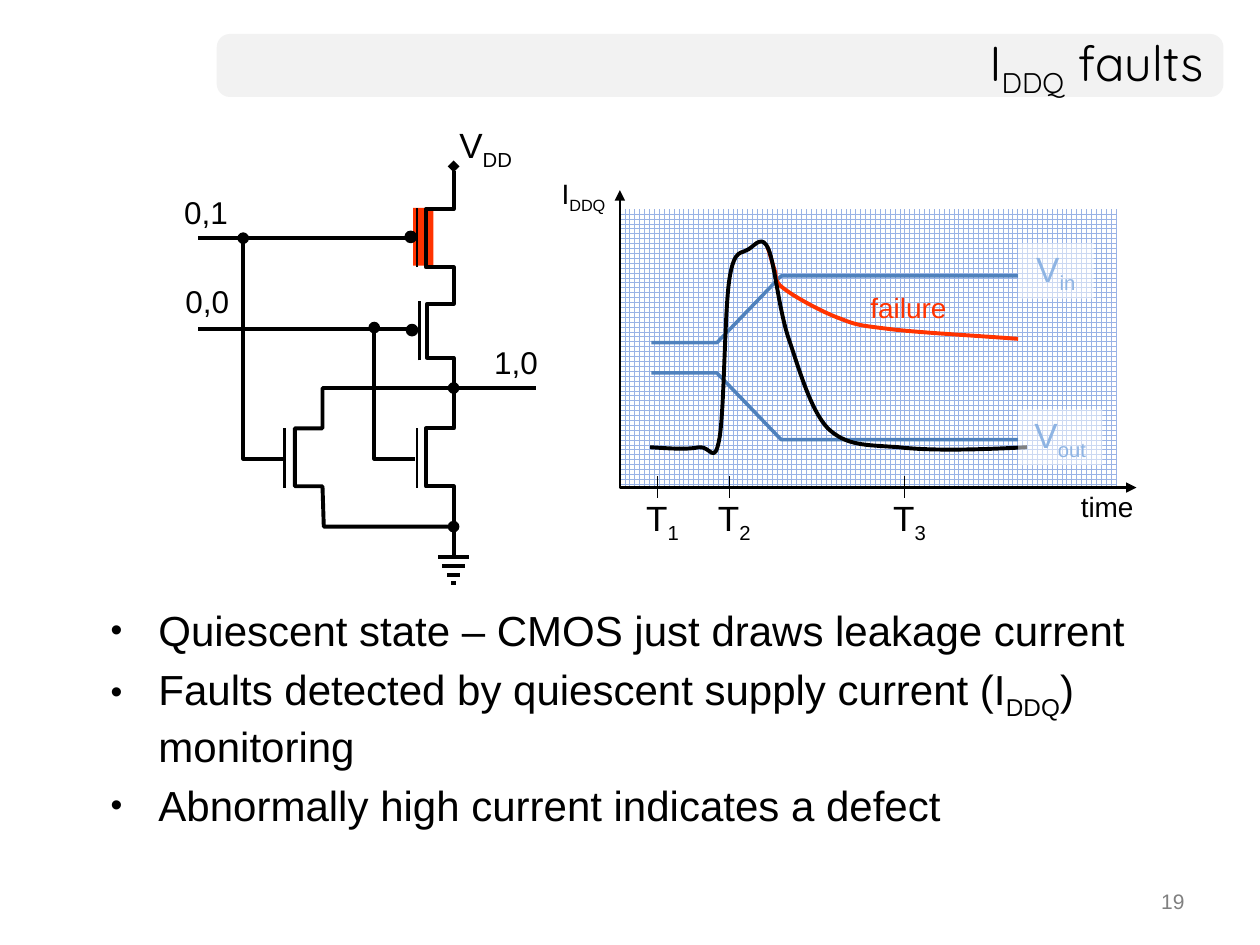
from lxml.etree import SubElement
from pptx import Presentation
from pptx.dml.color import RGBColor
from pptx.enum.dml import MSO_PATTERN
from pptx.enum.shapes import MSO_CONNECTOR, MSO_SHAPE as SHAPE
from pptx.enum.text import MSO_ANCHOR as ANCHOR, PP_ALIGN as ALIGN
from pptx.oxml.ns import qn
from pptx.util import Inches, Pt

COLORS = {"black": "000000", "white": "FFFFFF", "bar": "F2F2F2", "number": "808080",
          "signal": "4F81BD", "label": "8EB4E3", "fault": "FF3300", "grid": "99B3E6"}


def rgb(name):
    """Look up a named colour."""
    return RGBColor.from_string(COLORS[name])


def write(paragraph, text, size=18, color="black", font="Arial", align=None):
    """Fill a paragraph; pieces between underscores become subscripts."""
    paragraph.alignment = align
    for index, piece in enumerate(text.split("_")):
        if not piece:
            continue
        span = paragraph.add_run()
        span.text = piece
        span.font.size, span.font.name = Pt(size), font
        span.font.color.rgb = rgb(color)
        if index % 2:
            span._r.get_or_add_rPr().set("baseline", "-25000")


def add_text(page, at, text, wrap=True, anchor=ANCHOR.TOP, **style):
    """Add a one-paragraph text box."""
    frame = page.shapes.add_textbox(*map(Inches, at)).text_frame
    frame.word_wrap, frame.vertical_anchor = wrap, anchor
    write(frame.paragraphs[0], text, **style)


def add_bullets(page, at, items, indent=0.38):
    """Add a bulleted list with hanging indents."""
    frame = page.shapes.add_textbox(*map(Inches, at)).text_frame
    frame.word_wrap = True
    for index, item in enumerate(items):
        para = frame.add_paragraph() if index else frame.paragraphs[0]
        props = para._p.get_or_add_pPr()
        props.set("marL", str(Inches(indent)))
        props.set("indent", str(-Inches(indent)))
        SubElement(props, qn("a:buSzPct")).set("val", "80000")
        SubElement(props, qn("a:buFont")).set("typeface", "Arial")
        SubElement(props, qn("a:buChar")).set("char", "•")
        if index:
            para.space_before = Pt(4.8)
        write(para, item, size=24)


def add_box(page, kind, at, color, alpha=None, outline=None):
    """Add a filled preset shape, optionally translucent or outlined."""
    box = page.shapes.add_shape(kind, *map(Inches, at))
    box.shadow.inherit = False
    box.fill.solid()
    box.fill.fore_color.rgb = rgb(color)
    if alpha:
        tint = box.fill._xPr.find(qn("a:solidFill"))[0]
        SubElement(tint, qn("a:alpha")).set("val", str(alpha * 1000))
    if outline:
        box.line.color.rgb, box.line.width = rgb(color), Pt(outline)
    else:
        box.line.fill.background()
    return box


def add_signal_label(page, at, text):
    """Add a translucent signal name plate."""
    box = add_box(page, SHAPE.RECTANGLE, at, "white", alpha=50)
    box.text_frame.vertical_anchor = ANCHOR.MIDDLE
    write(box.text_frame.paragraphs[0], text, size=20, color="label", align=ALIGN.CENTER)


def add_line(page, x1, y1, x2, y2, width=2.25):
    """Add a straight black line."""
    line = page.shapes.add_connector(MSO_CONNECTOR.STRAIGHT, *map(Inches, (x1, y1, x2, y2)))
    line.line.color.rgb, line.line.width = rgb("black"), Pt(width)
    SubElement(line._element.spPr, qn("a:effectLst"))


def add_path(page, points, color="black", width=2.25, head=None, tail=None):
    """Add an open outline through the points."""
    scaled = [(Inches(x), Inches(y)) for x, y in points]
    builder = page.shapes.build_freeform(*scaled[0])
    builder.add_line_segments(scaled[1:], close=False)
    path = builder.convert_to_shape()
    path.shadow.inherit = False
    path.fill.background()
    path.line.color.rgb, path.line.width = rgb(color), Pt(width)
    for tag, end in (("a:headEnd", head), ("a:tailEnd", tail)):
        if end:
            SubElement(path.line._get_or_add_ln(), qn(tag)).set("type", end)
    return path


def add_curve(page, points, **style):
    """Add a smooth outline; after the start, points go control, control, end."""
    curve = add_path(page, points, **style)
    steps = list(curve._element.iter(qn("a:lnTo")))
    outline = steps[0].getparent()
    for first in range(0, len(steps), 3):
        cubic = SubElement(outline, qn("a:cubicBezTo"))
        for step in steps[first:first + 3]:
            cubic.append(step[0])
            outline.remove(step)


def draw_circuit(page):
    """Draw the NOR gate with its faulty transistor."""
    add_box(page, SHAPE.RECTANGLE, (3.28, 1.65, 0.16, 0.46), "fault")
    add_path(page, [(3.6, 1.32), (3.6, 1.66), (3.38, 1.66), (3.38, 2.12), (3.6, 2.12),
                    (3.6, 2.41), (3.39, 2.41), (3.39, 2.84), (3.6, 2.84), (3.6, 3.4),
                    (3.38, 3.4), (3.38, 3.86), (3.6, 3.86), (3.6, 4.41)], head="diamond")
    add_path(page, [(3.6, 3.08), (2.56, 3.08), (2.56, 3.4), (2.34, 3.4), (2.34, 3.86),
                    (2.56, 3.86), (2.57, 4.18), (3.6, 4.18)], head="oval", tail="oval")
    for x, top, end in ((1.93, 1.89, 2.25), (2.97, 2.6, 3.29)):
        add_path(page, [(x, top), (x, 3.64), (end, 3.64)], head="oval")
    for x, top in ((3.31, 1.65), (3.33, 2.39), (3.31, 3.4), (2.26, 3.4)):
        add_line(page, x, top + 0.47, x, top, width=1.5)
    for x, y in ((3.22, 1.84), (3.23, 2.58)):
        add_box(page, SHAPE.FLOWCHART_CONNECTOR, (x, y, 0.08, 0.08), "black", outline=1.5)
    for y in (1.89, 2.61):
        add_line(page, 3.25, y, 1.57, y)
    add_line(page, 3.62, 3.08, 4.25, 3.08)
    for row, half in enumerate((0.12, 0.09, 0.05, 0.02)):
        y = 4.42 + 0.07 * row
        add_line(page, 3.6 - half, y, 3.6 + half, y)
    add_text(page, (3.46, 0.95, 0.79, 0.44), "V_DD_", size=20, anchor=ANCHOR.MIDDLE,
             align=ALIGN.CENTER)
    for at, text in (((1.24, 1.48, 0.79, 0.4), "0,1"), ((1.27, 2.19, 0.75, 0.4), "0,0"),
                     ((3.8, 2.67, 0.59, 0.4), "1,0")):
        add_text(page, at, text, align=ALIGN.CENTER)


def draw_waveforms(page):
    """Draw the supply current over time with both signals."""
    grid = add_box(page, SHAPE.RECTANGLE, (4.92, 1.66, 3.94, 2.2), "white")
    grid.fill.patterned()
    grid.fill.pattern = MSO_PATTERN.LARGE_GRID
    grid.fill.fore_color.rgb, grid.fill.back_color.rgb = rgb("grid"), rgb("white")
    for before, after in ((2.96, 3.49), (2.72, 2.19)):
        add_path(page, [(5.17, before), (5.69, before), (6.2, after), (8.08, after)],
                 color="signal", width=2)
    add_curve(page, [
        (6.09, 1.96), (6.1, 1.98), (6.12, 2.06), (6.14, 2.12), (6.17, 2.17), (6.13, 2.23),
        (6.22, 2.29), (6.31, 2.36), (6.53, 2.48), (6.67, 2.53), (6.8, 2.58), (6.8, 2.58),
        (7.04, 2.61), (7.28, 2.64), (7.68, 2.66), (8.08, 2.69)], color="fault")
    add_path(page, [(4.92, 1.51), (4.92, 3.87), (9.02, 3.87)], width=1.5,
             head="triangle", tail="triangle")
    for number, x in enumerate((5.22, 5.79, 7.18), start=1):
        add_line(page, x, 3.78, x, 3.95, width=0.75)
        add_text(page, (x - 0.19, 3.89, 0.47, 0.43), f"T_{number}_", size=20, wrap=False)
    add_text(page, (6.81, 2.26, 0.81, 0.37), "failure", size=16, color="fault", wrap=False)
    add_text(page, (8.48, 3.84, 0.63, 0.37), "time", size=16, wrap=False)
    add_text(page, (4.36, 1.35, 0.6, 0.37), "I_DDQ_", size=16, wrap=False)
    add_curve(page, [
        (5.16, 3.55), (5.31, 3.56), (5.46, 3.57), (5.55, 3.55), (5.64, 3.54), (5.67, 3.7),
        (5.71, 3.48), (5.75, 3.25), (5.75, 2.46), (5.79, 2.21), (5.83, 1.96), (5.89, 2.02),
        (5.94, 1.98), (6, 1.94), (6.05, 1.86), (6.1, 1.98), (6.15, 2.1), (6.18, 2.45),
        (6.26, 2.69), (6.34, 2.92), (6.43, 3.25), (6.57, 3.4), (6.72, 3.54), (6.86, 3.53),
        (7.13, 3.55), (7.39, 3.58), (7.77, 3.57), (8.15, 3.55)])
    add_signal_label(page, (8.08, 1.93, 0.6, 0.44), "V_in_")
    add_signal_label(page, (8.08, 3.25, 0.67, 0.44), "V_out_")


def main():
    """Build the slide and save the deck."""
    deck = Presentation()
    deck.slide_width, deck.slide_height = Inches(10), Inches(7.5)
    page = deck.slides.add_slide(deck.slide_layouts[6])
    bar = add_box(page, SHAPE.ROUNDED_RECTANGLE, (1.72, 0.27, 7.99, 0.5), "bar")
    bar.adjustments[0] = 0.21
    add_text(page, (7.17, 7, 2.33, 0.35), "19", size=12, color="number", align=ALIGN.RIGHT)
    add_text(page, (1.72, 0.27, 7.93, 0.5), "I_DDQ_ faults", size=28, font="Quicksand",
             anchor=ANCHOR.MIDDLE, align=ALIGN.RIGHT)
    add_bullets(page, (0.78, 4.75, 9, 2.38), [
        "Quiescent state – CMOS just draws leakage current",
        "Faults detected by quiescent supply current (I_DDQ_) monitoring",
        "Abnormally high current indicates a defect"])
    draw_circuit(page)
    draw_waveforms(page)
    deck.save("out.pptx")


if __name__ == "__main__":
    main()
